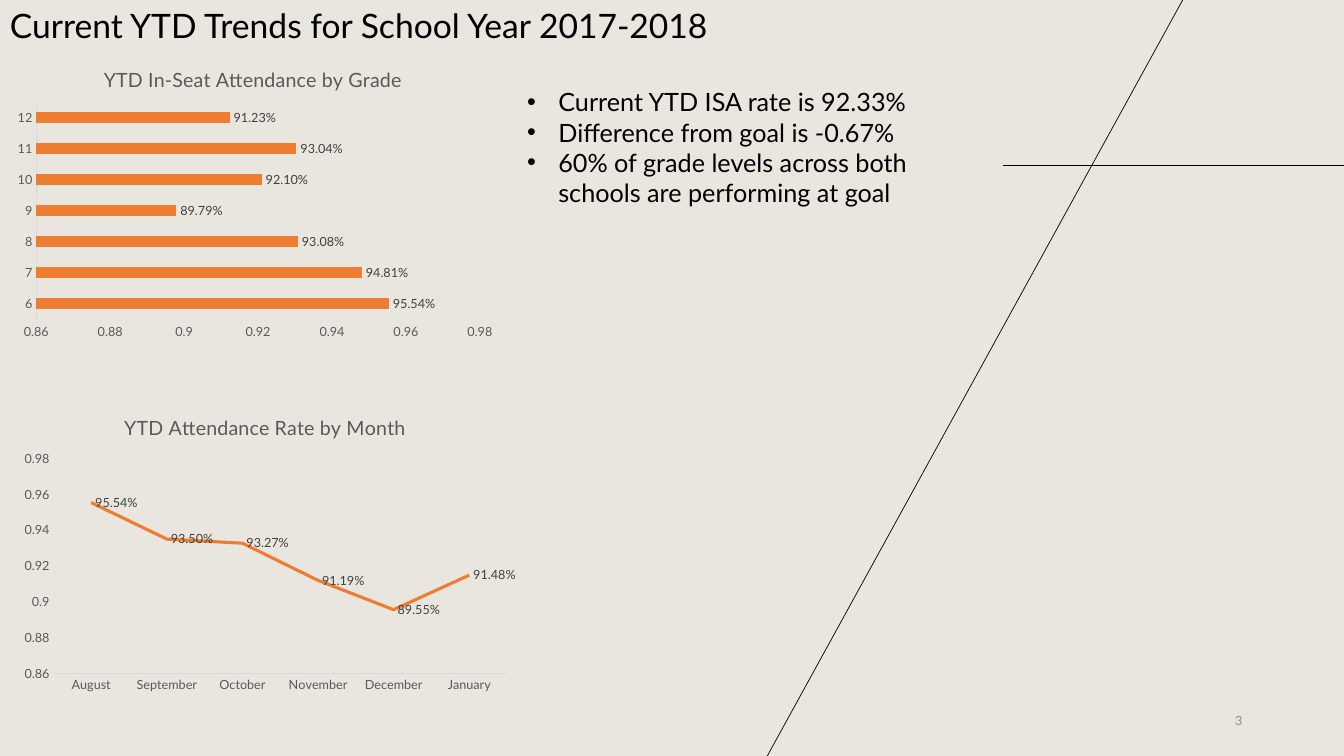
import dataclasses

import lxml.etree
import pptx
import pptx.chart.data
import pptx.dml.color
import pptx.enum.chart
import pptx.enum.shapes
import pptx.enum.text
import pptx.oxml
import pptx.oxml.ns
import pptx.util

EMU_PER_PX = 9144  # 100 px to the inch
FONT = "Lato"
COLORS = {
    "background": "E9E6DF",
    "text": "000000",
    "number": "8C8C8C",
    "axis": "595959",
    "label": "404040",
    "axis_line": "D9D9D9",
    "series": "ED7D31",
}
ChartType = pptx.enum.chart.XL_CHART_TYPE
LabelPosition = pptx.enum.chart.XL_LABEL_POSITION
Align = pptx.enum.text.PP_ALIGN
Anchor = pptx.enum.text.MSO_ANCHOR


@dataclasses.dataclass
class Box:
    left: int
    top: int
    width: int
    height: int

    def emu(self) -> list[int]:
        return [px(length) for length in dataclasses.astuple(self)]


@dataclasses.dataclass
class TextBlock:
    box: Box
    lines: list[str]
    size: int
    color: str = "text"
    align: Align = Align.LEFT
    anchor: Anchor = Anchor.TOP
    bullets: bool = False


@dataclasses.dataclass
class Rule:
    start: tuple[int, int]
    end: tuple[int, int]


@dataclasses.dataclass
class TrendChart:
    box: Box
    kind: ChartType
    title: str
    rates: dict[str, float]
    label_position: LabelPosition
    plot_area: dict[str, float]  # fractions of the chart frame


RULES = [Rule((995, 164), (1333, 164)), Rule((1173, 0), (761, 750))]
TEXTS = [
    TextBlock(Box(942, 695, 300, 40), ["3"], 9, "number", Align.RIGHT, Anchor.MIDDLE),
    TextBlock(Box(0, 0, 829, 50), ["Current YTD Trends for School Year 2017-2018"], 24),
    TextBlock(
        Box(513, 81, 454, 131),
        [
            "Current YTD ISA rate is 92.33%",
            "Difference from goal is -0.67%",
            "60% of grade levels across both schools are performing at goal",
        ],
        18,
        bullets=True,
    ),
]
CHARTS = [
    TrendChart(
        Box(1, 50, 500, 300),
        ChartType.BAR_CLUSTERED,
        "YTD In-Seat Attendance by Grade",
        {"6": 0.9554, "7": 0.9481, "8": 0.9308, "9": 0.8979,
         "10": 0.921, "11": 0.9304, "12": 0.9123},
        LabelPosition.OUTSIDE_END,
        {"x": 0.07, "y": 0.17, "w": 0.88, "h": 0.72},
    ),
    TrendChart(
        Box(13, 395, 500, 300),
        ChartType.LINE,
        "YTD Attendance Rate by Month",
        {"August": 0.9554, "September": 0.935, "October": 0.9327,
         "November": 0.9119, "December": 0.8955, "January": 0.9148},
        LabelPosition.RIGHT,
        {"x": 0.08, "y": 0.2, "w": 0.9, "h": 0.71},
    ),
]


def px(length: int) -> int:
    return pptx.util.Emu(length * EMU_PER_PX)


def rgb(name: str) -> pptx.dml.color.RGBColor:
    return pptx.dml.color.RGBColor.from_string(COLORS[name])


def style_font(font, size: int, color: str) -> None:
    font.name = FONT
    font.size = pptx.util.Pt(size)
    font.bold = False
    font.color.rgb = rgb(color)


def add_bullet(paragraph) -> None:
    properties = paragraph._p.get_or_add_pPr()
    properties.set("marL", str(px(31)))
    properties.set("indent", str(-px(31)))
    for tag, attribute, value in (("a:buFont", "typeface", "Arial"), ("a:buChar", "char", "•")):
        element = lxml.etree.SubElement(properties, pptx.oxml.ns.qn(tag))
        element.set(attribute, value)


def add_text(slide, block: TextBlock) -> None:
    text_frame = slide.shapes.add_textbox(*block.box.emu()).text_frame
    text_frame.word_wrap = True
    text_frame.vertical_anchor = block.anchor
    text_frame.text = "\n".join(block.lines)
    for paragraph in text_frame.paragraphs:
        paragraph.alignment = block.align
        style_font(paragraph.runs[0].font, block.size, block.color)
        if block.bullets:
            add_bullet(paragraph)


def add_rule(slide, rule: Rule) -> None:
    connector = slide.shapes.add_connector(
        pptx.enum.shapes.MSO_CONNECTOR.STRAIGHT, *map(px, rule.start + rule.end)
    )
    connector.line.color.rgb = rgb("text")
    connector.line.width = pptx.util.Pt(0.5)
    lxml.etree.SubElement(connector._element.spPr, pptx.oxml.ns.qn("a:effectLst"))


def set_plot_area(chart, fractions: dict[str, float]) -> None:
    plot_area = chart._chartSpace.chart.plotArea
    for old_layout in plot_area.findall(pptx.oxml.ns.qn("c:layout")):
        plot_area.remove(old_layout)
    settings = {"layoutTarget": "inner", "xMode": "edge", "yMode": "edge", **fractions}
    children = "".join(f'<c:{tag} val="{value}"/>' for tag, value in settings.items())
    namespace = pptx.oxml.ns.nsdecls("c")
    plot_area.insert(0, pptx.oxml.parse_xml(
        f"<c:layout {namespace}><c:manualLayout>{children}</c:manualLayout></c:layout>"
    ))


def style_axes(chart) -> None:
    for axis in (chart.category_axis, chart.value_axis):
        axis.has_major_gridlines = False
        axis.major_tick_mark = pptx.enum.chart.XL_TICK_MARK.NONE
        style_font(axis.tick_labels.font, 9, "axis")
    chart.category_axis.format.line.color.rgb = rgb("axis_line")
    chart.category_axis.format.line.width = pptx.util.Pt(0.75)
    value_axis = chart.value_axis
    value_axis.format.line.fill.background()
    value_axis.minimum_scale, value_axis.maximum_scale = 0.86, 0.98
    value_axis.major_unit = 0.02
    value_axis.tick_labels.number_format = "General"
    value_axis.tick_labels.number_format_is_linked = False


def add_trend_chart(slide, trend: TrendChart) -> None:
    data = pptx.chart.data.CategoryChartData(number_format="0.00%")
    data.categories = list(trend.rates)
    data.add_series("Series 1", list(trend.rates.values()))
    chart = slide.shapes.add_chart(trend.kind, *trend.box.emu(), data).chart
    style_font(chart.font, 10, "text")
    chart.has_legend = False
    chart.has_title = True
    title_frame = chart.chart_title.text_frame
    title_frame.text = trend.title
    style_font(title_frame.paragraphs[0].runs[0].font, 14, "axis")
    chart.chart_title.include_in_layout = False
    set_plot_area(chart, trend.plot_area)
    style_axes(chart)

    # Series and its value labels
    plot = chart.plots[0]
    plot.vary_by_categories = False
    series = plot.series[0]
    if trend.kind == ChartType.LINE:
        series.smooth = False
        series.marker.style = pptx.enum.chart.XL_MARKER_STYLE.NONE
        series.format.line.color.rgb = rgb("series")
        series.format.line.width = pptx.util.Pt(2.25)
    else:
        plot.gap_width = 182
        series.format.fill.solid()
        series.format.fill.fore_color.rgb = rgb("series")
    labels = series.data_labels
    labels.show_value = True
    labels.number_format = "0.00%"
    labels.number_format_is_linked = False
    labels.position = trend.label_position
    style_font(labels.font, 9, "label")


def main() -> None:
    presentation = pptx.Presentation()
    presentation.slide_width, presentation.slide_height = px(1333), px(750)
    slide = presentation.slides.add_slide(presentation.slide_layouts[6])
    slide.background.fill.solid()
    slide.background.fill.fore_color.rgb = rgb("background")
    for rule in RULES:
        add_rule(slide, rule)
    for block in TEXTS:
        add_text(slide, block)
    for trend in CHARTS:
        add_trend_chart(slide, trend)
    presentation.save("out.pptx")


if __name__ == "__main__":
    main()
